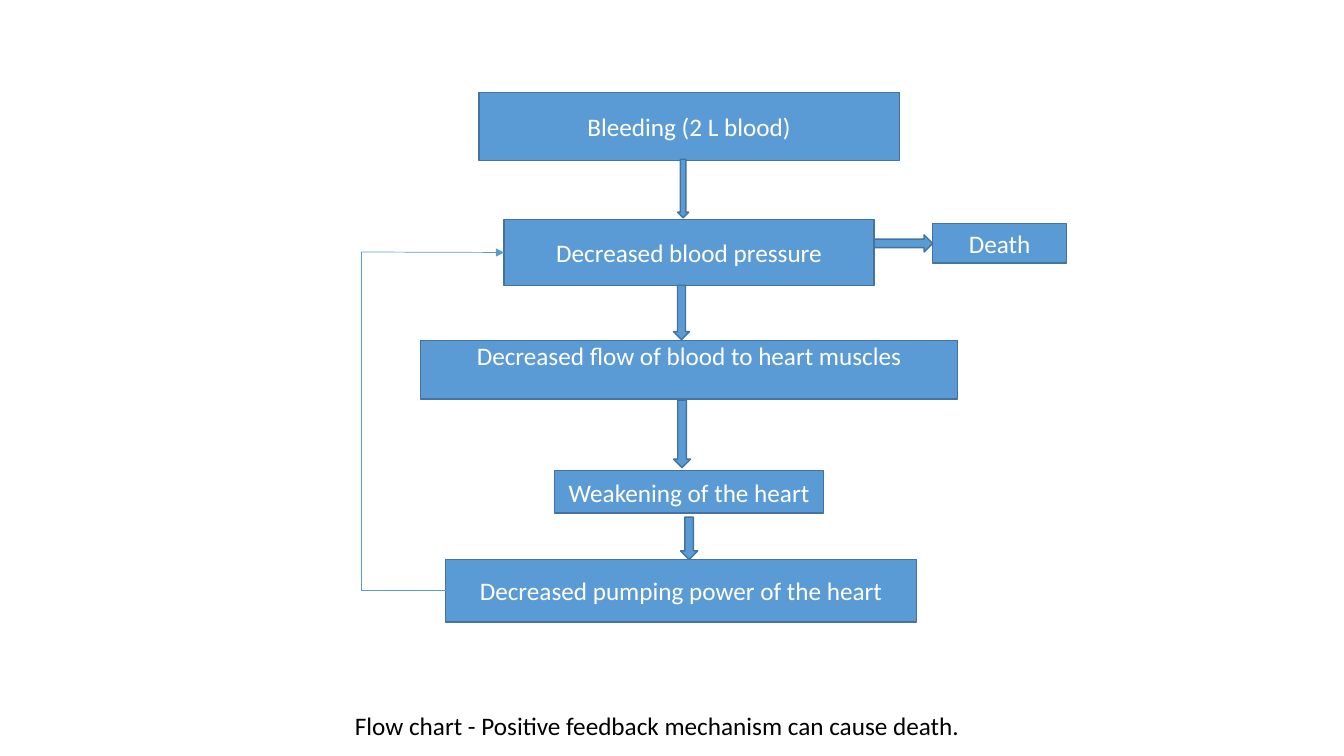
from pptx import Presentation
from pptx.dml.color import RGBColor
from pptx.enum.shapes import MSO_CONNECTOR as Connector, MSO_SHAPE as Preset
from pptx.enum.text import MSO_ANCHOR as Anchor, PP_ALIGN as Align
from pptx.oxml.ns import qn
from pptx.util import Inches, Pt
from lxml import etree


def colour(value):
    return RGBColor.from_string(value)


class FlowChart:
    font, size = "Calibri", 18
    fill, outline, light, dark = "5B9BD5", "43739E", "FFFFFF", "000000"

    def __init__(self, page):
        self.page = page

    def label(self, frame, text, shade, align):
        frame.word_wrap = True
        frame.text = text
        para = frame.paragraphs[0]
        para.alignment = align
        font = para.runs[0].font
        font.name, font.size = self.font, Pt(self.size)
        font.color.rgb = colour(shade)

    def block(self, preset, left, top, width, height):
        shape = self.page.shapes.add_shape(
            preset, Inches(left), Inches(top), Inches(width), Inches(height))
        shape.shadow.inherit = False
        shape.fill.solid()
        shape.fill.fore_color.rgb = colour(self.fill)
        shape.line.color.rgb = colour(self.outline)
        shape.line.width = Pt(1)
        return shape

    def step(self, text, *place):
        box = self.block(Preset.RECTANGLE, *place)
        box.text_frame.vertical_anchor = Anchor.MIDDLE
        self.label(box.text_frame, text, self.light, Align.CENTER)
        return box

    def line(self, start, end, arrow=False):
        connector = self.page.shapes.add_connector(
            Connector.STRAIGHT, *(Inches(value) for value in start + end))
        connector.line.color.rgb = colour(self.fill)
        connector.line.width = Pt(0.5)
        properties = connector._element.spPr
        if arrow:
            stroke = properties.find(qn("a:ln"))
            etree.SubElement(stroke, qn("a:tailEnd")).set("type", "triangle")
        etree.SubElement(properties, qn("a:effectLst"))
        return connector

    def caption(self, text, left, top, width, height):
        box = self.page.shapes.add_textbox(
            Inches(left), Inches(top), Inches(width), Inches(height))
        self.label(box.text_frame, text, self.dark, Align.LEFT)
        return box


def main():
    deck = Presentation()
    deck.slide_width, deck.slide_height = Inches(13.33), Inches(7.5)
    chart = FlowChart(deck.slides.add_slide(deck.slide_layouts[6]))

    chart.step("Bleeding (2 L blood)", 4.75, 0.92, 4.17, 0.67)
    pressure = chart.step("Decreased blood pressure", 5, 2.18, 3.67, 0.65)
    flow = chart.step("Decreased flow of blood to heart muscles",
                      4.17, 3.38, 5.33, 0.58)
    flow.text_frame.vertical_anchor = Anchor.TOP
    flow.text_frame.margin_top = 0
    chart.step("Weakening of the heart", 5.5, 4.67, 2.67, 0.42)
    pumping = chart.step("Decreased pumping power of the heart",
                         4.42, 5.55, 4.67, 0.62)
    chart.step("Death", 9.25, 2.22, 1.33, 0.39)

    for place in ((6.72, 1.58, 0.11, 0.58), (6.68, 2.83, 0.16, 0.54),
                  (6.68, 3.97, 0.17, 0.67), (6.75, 5.13, 0.17, 0.42)):
        chart.block(Preset.DOWN_ARROW, *place)
    chart.block(Preset.RIGHT_ARROW, 8.67, 2.33, 0.58, 0.17)

    lower, upper = (3.58, 5.86), (3.58, 2.5)
    chart.line((4.42, 5.86), lower).begin_connect(pumping, 1)
    chart.line(lower, upper)
    chart.line(upper, (5, 2.5), arrow=True).end_connect(pressure, 1)

    caption = chart.caption(
        "Flow chart - Positive feedback mechanism can cause death.",
        3.25, 7, 6.92, 0.4)
    caption.text_frame.margin_left = Inches(0.27)

    deck.save("out.pptx")


if __name__ == "__main__":
    main()
